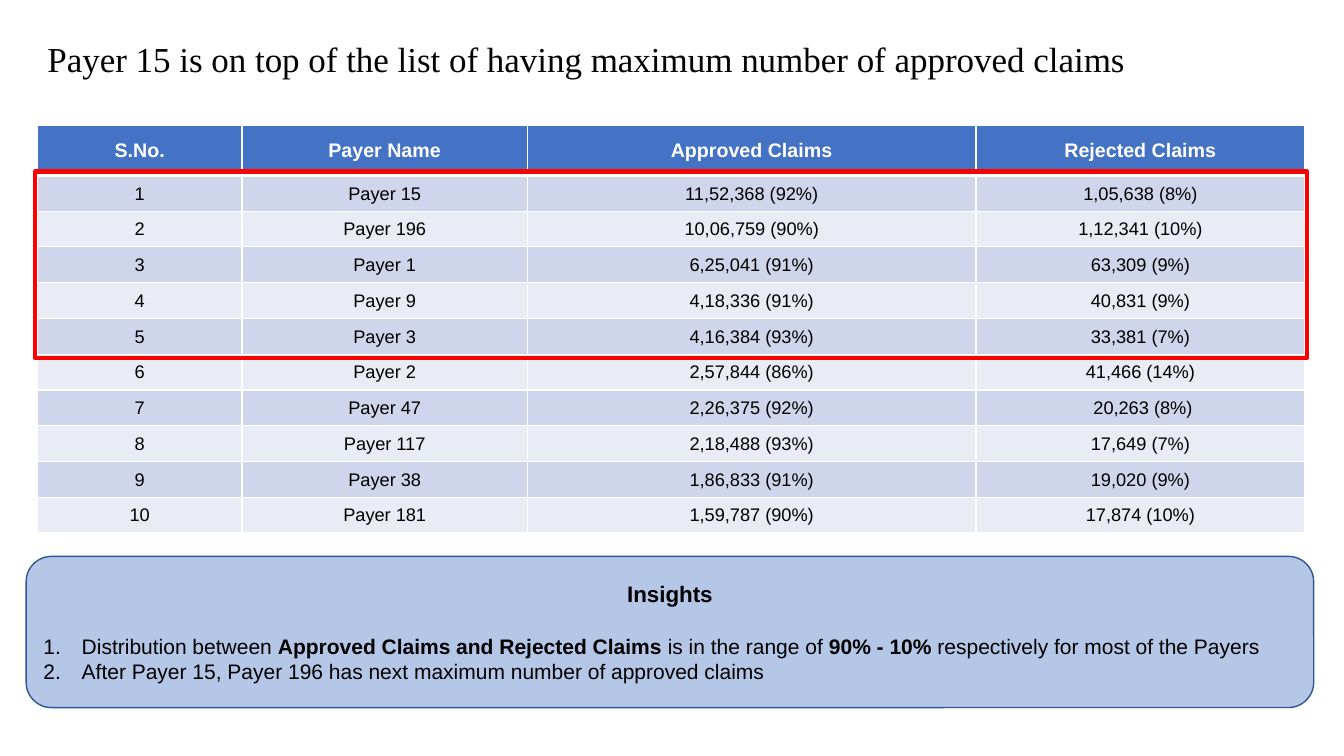
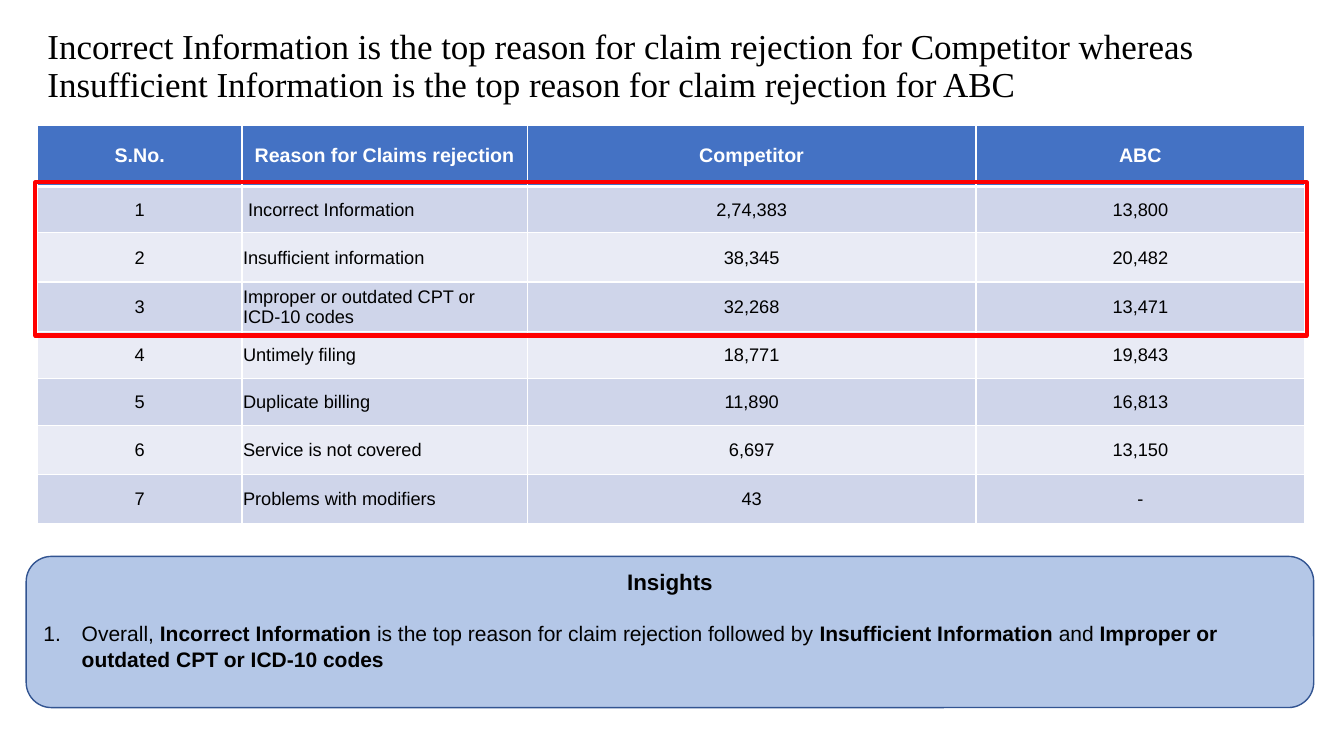
from collections import namedtuple

from lxml.etree import SubElement
from pptx import Presentation
from pptx.dml.color import RGBColor
from pptx.enum.shapes import MSO_SHAPE
from pptx.enum.text import MSO_ANCHOR, MSO_AUTO_SIZE, PP_ALIGN
from pptx.oxml.ns import qn
from pptx.util import Inches, Pt

SLIDE_W, SLIDE_H = Inches(13.33), Inches(7.5)
COLUMN, ROW = SLIDE_W / 100, SLIDE_H / 100
COLORS = {
    "header": "4472C4", "odd": "CFD5EA", "even": "E9EBF5", "white": "FFFFFF",
    "black": "000000", "panel": "B4C7E7", "panel_edge": "325491", "highlight": "FF0000",
}
TITLE_FONT, BODY_FONT = "Times New Roman", "Arial"
COLUMN_SHARES = (16.15, 22.51, 35.4, 25.94)

Box = namedtuple("Box", "left top width height")
TABLE_LEFT, TABLE_TOP, TABLE_WIDTH = 2.78, 16.53, 94.3
INSIGHTS_BOX = Box(1.95, 73.6, 95.8, 20)

PAYERS = {
    "title": "Payer 15 is on top of the list of having maximum number of approved claims",
    "title_top": 1.6,
    "rows": [
        ("S.No.", "Payer Name", "Approved Claims", "Rejected Claims"),
        ("1", "Payer 15", "11,52,368 (92%)", "1,05,638 (8%)"),
        ("2", "Payer 196", "10,06,759 (90%)", "1,12,341 (10%)"),
        ("3", "Payer 1", "6,25,041 (91%)", "63,309 (9%)"),
        ("4", "Payer 9", "4,18,336 (91%)", "40,831 (9%)"),
        ("5", "Payer 3", "4,16,384 (93%)", "33,381 (7%)"),
        ("6", "Payer 2", "2,57,844 (86%)", "41,466 (14%)"),
        ("7", "Payer 47", "2,26,375 (92%)", " 20,263 (8%)"),
        ("8", "Payer 117", "2,18,488 (93%)", "17,649 (7%)"),
        ("9", "Payer 38", "1,86,833 (91%)", "19,020 (9%)"),
        ("10", "Payer 181", "1,59,787 (90%)", "17,874 (10%)"),
    ],
    "heights": [6.67] + [4.73] * 10,
    "left_columns": (),
    "highlighted": 5,
    "insights": [
        [("Distribution between ", False), ("Approved Claims and Rejected Claims ", True),
         ("is in the range of ", False), ("90% - 10% ", True),
         ("respectively for most of the Payers", False)],
        [("After Payer 15, Payer 196 has next maximum number of approved claims", False)],
    ],
    "insights_foot": 0.05,
}

REASONS = {
    "title": "Incorrect Information is the top reason for claim rejection for Competitor "
             "whereas Insufficient Information is the top reason for claim rejection for ABC",
    "title_top": 4.93,
    "rows": [
        ("S.No.", "Reason for Claims rejection", "Competitor", "ABC"),
        ("1", " Incorrect Information", "2,74,383", "13,800"),
        ("2", "Insufficient information", "38,345", "20,482"),
        ("3", "Improper or outdated CPT or ICD-10 codes", "32,268", "13,471"),
        ("4", "Untimely filing", "18,771", "19,843"),
        ("5", "Duplicate billing", "11,890", "16,813"),
        ("6", "Service is not covered", "6,697", "13,150"),
        ("7", "Problems with modifiers", "43", "-"),
    ],
    "heights": [8.13, 6.13, 6.53, 6.53, 6.2, 6.2, 6.53, 6.53],
    "left_columns": (1,),
    "highlighted": 3,
    "insights": [
        [("Overall, ", False), ("Incorrect Information ", True),
         ("is the top reason for claim rejection followed by ", False),
         ("Insufficient Information ", True), ("and ", False),
         ("Improper or outdated CPT or ICD-10 codes", True)],
    ],
    "insights_foot": 0.29,
}


def color(key):
    """Return the named palette colour."""
    return RGBColor.from_string(COLORS[key])


def place(box):
    """Turn a box in grid units into slide lengths."""
    return (round(box.left * COLUMN), round(box.top * ROW),
            round(box.width * COLUMN), round(box.height * ROW))


def add_run(paragraph, text, size, ink="black", bold=False, font=BODY_FONT):
    """Add one formatted run to a paragraph."""
    run = paragraph.add_run()
    run.text = text
    run.font.name, run.font.size, run.font.bold = font, Pt(size), bold
    run.font.color.rgb = color(ink)


def add_title(slide, text, box):
    """Fill and move the title placeholder."""
    title = slide.shapes.title
    title.left, title.top, title.width, title.height = place(box)
    frame = title.text_frame
    frame.word_wrap, frame.auto_size = True, MSO_AUTO_SIZE.NONE
    frame.vertical_anchor = MSO_ANCHOR.BOTTOM
    paragraph = frame.paragraphs[0]
    paragraph.alignment, paragraph.line_spacing = PP_ALIGN.LEFT, 0.9
    add_run(paragraph, text, 25, font=TITLE_FONT)


def add_borders(cell, top, bottom):
    """Draw white borders around a cell, with widths in points."""
    properties = cell._tc.get_or_add_tcPr()
    for side, width in (("L", 1), ("R", 1), ("T", top), ("B", bottom)):
        border = SubElement(properties, qn(f"a:ln{side}"), w=str(Pt(width)))
        fill = SubElement(border, qn("a:solidFill"))
        SubElement(fill, qn("a:srgbClr"), val=COLORS["white"])


def add_claims_table(slide, rows, heights, left_columns, box):
    """Draw a banded table with a header row."""
    left, top, width, height = place(box)
    table = slide.shapes.add_table(len(rows), len(rows[0]), left, top, width, height).table
    for column, share in zip(table.columns, COLUMN_SHARES):
        column.width = round(width * share / 100)
    for r, (texts, row_height) in enumerate(zip(rows, heights)):
        table.rows[r].height = round(row_height * ROW)
        band = "header" if r == 0 else ("even", "odd")[r % 2]
        for c, text in enumerate(texts):
            cell = table.cell(r, c)
            add_borders(cell, 3 if r == 1 else 1, 3 if r == 0 else 1)
            cell.fill.solid()
            cell.fill.fore_color.rgb = color(band)
            cell.vertical_anchor = MSO_ANCHOR.MIDDLE
            cell.margin_left = cell.margin_right = cell.margin_top = Inches(0.01)
            cell.margin_bottom = 0
            paragraph = cell.text_frame.paragraphs[0]
            to_left = r > 0 and c in left_columns
            paragraph.alignment = PP_ALIGN.LEFT if to_left else PP_ALIGN.CENTER
            if r == 0:
                add_run(paragraph, text, 14, "white", True)
            else:
                add_run(paragraph, text, 13)


def add_panel(slide, preset, box, edge, width, fill=None):
    """Draw an outlined shape, filled or hollow."""
    panel = slide.shapes.add_shape(preset, *place(box))
    panel.shadow.inherit = False
    panel.line.color.rgb, panel.line.width = color(edge), Pt(width)
    if fill:
        panel.fill.solid()
        panel.fill.fore_color.rgb = color(fill)
    else:
        panel.fill.background()
    return panel


def add_highlight(slide, heights, count, box):
    """Frame the first body rows of the table in the given box."""
    pad_x, pad_y = 0.15, 0.53
    add_panel(slide, MSO_SHAPE.RECTANGLE,
              Box(box.left - pad_x, box.top + heights[0] - pad_y, box.width + 2 * pad_x,
                  sum(heights[1:count + 1]) + 2 * pad_y), "highlight", 3)


def add_insights(slide, points, foot, box):
    """Draw the insights panel with its numbered points."""
    panel = add_panel(slide, MSO_SHAPE.ROUNDED_RECTANGLE, box, "panel_edge", 1, "panel")
    frame = panel.text_frame
    frame.word_wrap, frame.vertical_anchor = True, MSO_ANCHOR.MIDDLE
    frame.margin_bottom = Inches(foot)
    heading = frame.paragraphs[0]
    heading.alignment, heading.space_after = PP_ALIGN.CENTER, Pt(18.4)
    add_run(heading, "Insights", 16, bold=True)
    for point in points:
        paragraph = frame.add_paragraph()
        paragraph.alignment = PP_ALIGN.LEFT
        properties = paragraph._p.get_or_add_pPr()
        properties.set("marL", str(Inches(0.38)))
        properties.set("indent", str(-Inches(0.38)))
        SubElement(properties, qn("a:buFont"), typeface="+mj-lt")
        SubElement(properties, qn("a:buAutoNum"), type="arabicPeriod")
        for text, bold in point:
            add_run(paragraph, text, 15, bold=bold)


def add_claims_slide(deck, content):
    """Build one slide of title, table, highlight and insights."""
    slide = deck.slides.add_slide(deck.slide_layouts.get_by_name("Title Only"))
    heights = content["heights"]
    table_box = Box(TABLE_LEFT, TABLE_TOP, TABLE_WIDTH, sum(heights))
    add_title(slide, content["title"], Box(TABLE_LEFT, content["title_top"], 93.47, 9.6))
    add_claims_table(slide, content["rows"], heights, content["left_columns"], table_box)
    add_insights(slide, content["insights"], content["insights_foot"], INSIGHTS_BOX)
    add_highlight(slide, heights, content["highlighted"], table_box)


def main():
    """Build and save the deck."""
    deck = Presentation()
    deck.slide_width, deck.slide_height = SLIDE_W, SLIDE_H
    for content in (PAYERS, REASONS):
        add_claims_slide(deck, content)
    deck.save("out.pptx")


if __name__ == "__main__":
    main()
